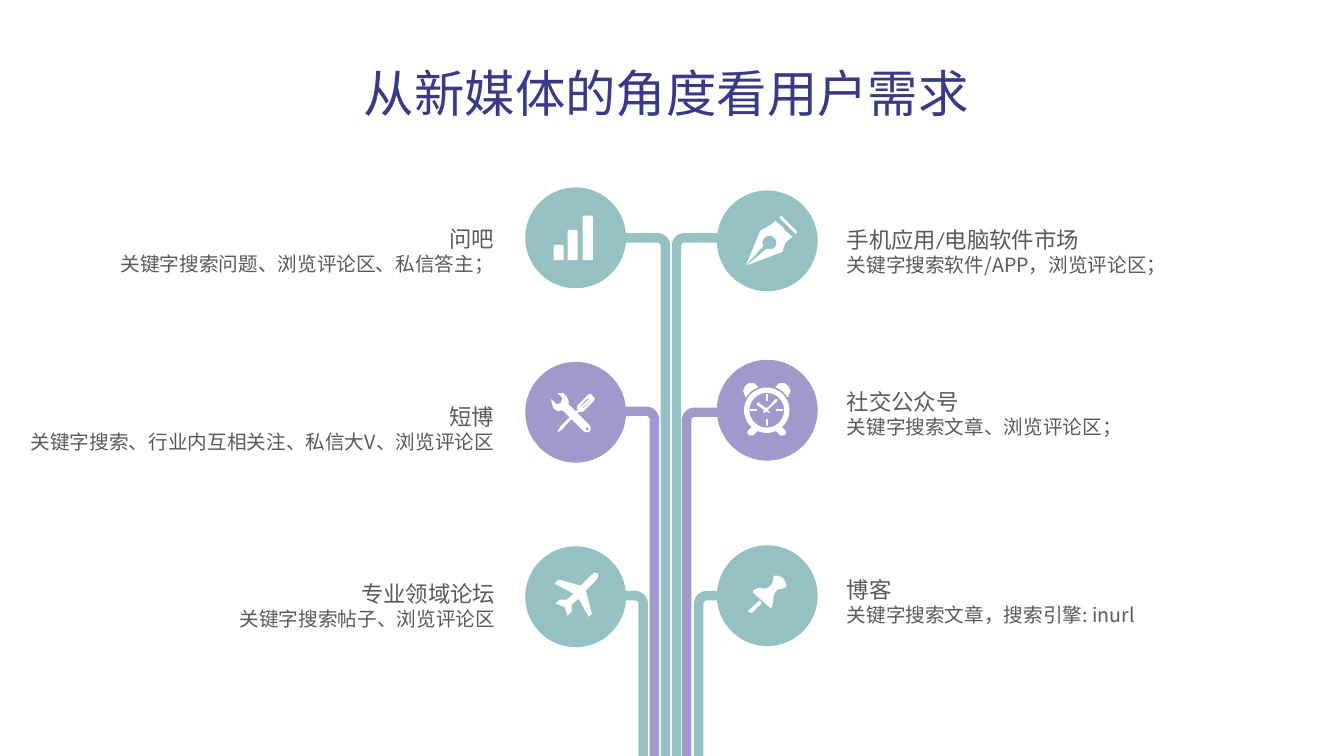
import math
from lxml import etree
from pptx import Presentation, util as u
from pptx.dml.color import RGBColor
from pptx.enum import shapes, text
from pptx.oxml.ns import qn

TEAL, PURPLE, WHITE, GREY, NAVY = "95C1C4", "A099CB", "FFFFFF", "595959", "383987"
CJK = "Noto Sans CJK SC"
CIRCLE = 1.0


def color(value):
    return RGBColor.from_string(value)


def style(sp, fill=None, line=None, width=6.75):
    sp.shadow.inherit = False
    if fill:
        sp.fill.solid()
        sp.fill.fore_color.rgb = color(fill)
    else:
        sp.fill.background()
    if line:
        sp.line.color.rgb = color(line)
        sp.line.width = u.Pt(width)
    else:
        sp.line.fill.background()


def outline(s, x, y, contours, close=True, **look):
    placed = [[(u.Inches(x + px / 100), u.Inches(y + py / 100)) for px, py in c]
              for c in contours]
    fb = s.shapes.build_freeform(*placed[0][0])
    for i, pts in enumerate(placed):
        if i:
            fb.move_to(*pts[0])
        fb.add_line_segments(pts[1:], close=close)
    style(fb.convert_to_shape(), **look)


def ring_points(cx, cy, radius, n=48):
    return [(cx + radius * math.cos(2 * math.pi * i / n),
             cy + radius * math.sin(2 * math.pi * i / n)) for i in range(n)]


def mirrored(pts, axis):
    return [(2 * axis - px, py) for px, py in pts]


def rect(x, y, w, h):
    return [(x, y), (x + w, y), (x + w, y + h), (x, y + h)]


def bars(s, x, y):
    for bx, top in ((0.28, 0.57), (0.42, 0.42), (0.57, 0.28)):
        sp = s.shapes.add_shape(shapes.MSO_SHAPE.ROUND_2_SAME_RECTANGLE, u.Inches(x + bx),
                                u.Inches(y + top), u.Inches(0.1), u.Inches(0.72 - top))
        style(sp, fill=WHITE)


def pen(s, x, y):
    nib = [(68, 40), (65, 36), (58, 30), (55, 33), (43, 40), (29, 74), (46, 55), (45, 51),
           (47, 47), (50, 45), (54, 45), (57, 47), (59, 50), (59, 54), (57, 57), (54, 58),
           (49, 58), (30, 74), (65, 61), (68, 52), (71, 49), (75, 46)]
    cap = [(64, 25), (80, 41), (78, 43), (62, 27)]
    outline(s, x, y, [nib], fill=WHITE)
    outline(s, x, y, [cap], fill=WHITE)


def tools(s, x, y):
    crossed = [(69, 36), (65, 32), (63, 32), (62, 33), (52, 43), (51, 46), (52, 47), (53, 47),
               (50, 49), (43, 42), (43, 39), (41, 34), (38, 31), (32, 31), (37, 36), (35, 41),
               (31, 42), (26, 37), (26, 40), (28, 46), (32, 49), (37, 48), (44, 55), (37, 62),
               (35, 64), (32, 69), (32, 70), (38, 66), (39, 64), (46, 57), (58, 69), (61, 70),
               (64, 69), (65, 66), (64, 63), (52, 51), (54, 49), (55, 50), (58, 49), (68, 39)]
    slots = [[(55, 44), (55, 43), (62, 36), (63, 37)], [(58, 46), (57, 46), (65, 38), (65, 39)]]
    outline(s, x, y, [crossed, *slots, ring_points(61.5, 66.5, 1.5, 12)], fill=WHITE)


def clock(s, x, y):
    cx, cy = 49.5, 50
    ear = [(70, 37), (71, 36), (73, 31), (71, 26), (67, 23), (62, 23), (58, 27), (65, 31)]
    foot = [(65, 67), (68, 70), (69, 72), (67, 75), (63, 75), (58, 70)]
    hands = [(50, 50), (60, 41), (60, 39), (58, 39), (52, 46), (49, 48), (42, 43), (41, 42),
             (39, 44), (40, 45), (47, 50), (46, 52), (47, 53), (49, 51), (50, 52), (52, 53),
             (52, 51)]
    ticks = [rect(cx - 1, 34, 2, 7), rect(cx - 1, 59, 2, 7),
             rect(33, cy - 1, 7, 2), rect(59, cy - 1, 7, 2)]
    parts = [ear, mirrored(ear, cx), foot, mirrored(foot, cx), hands, *ticks]
    outline(s, x, y, [ring_points(cx, cy, 22.5), ring_points(cx, cy, 17.2)], fill=WHITE)
    for part in parts:
        outline(s, x, y, [part], fill=WHITE)


def plane(s, x, y):
    body = [(63, 70), (66, 67), (60, 44), (69, 35), (72, 31), (72, 27), (68, 26), (64, 30),
            (55, 39), (33, 33), (29, 37), (48, 47), (41, 53), (34, 53), (30, 57), (39, 60),
            (42, 69), (46, 65), (46, 58), (53, 52)]
    outline(s, x, y, [body], fill=WHITE)


def pin(s, x, y):
    needle = [(43, 55), (42, 55), (31, 65), (31, 66), (34, 67), (35, 67), (44, 58), (44, 56)]
    head = [(60, 30), (57, 30), (56, 33), (56, 35), (55, 38), (51, 42), (47, 43), (43, 42),
            (39, 43), (36, 45), (36, 47), (53, 62), (54, 62), (56, 57), (56, 52), (57, 48),
            (60, 44), (65, 43), (68, 42), (69, 40), (68, 36), (65, 32)]
    outline(s, x, y, [needle], fill=WHITE)
    outline(s, x, y, [head], fill=WHITE)


def branch(s, x, y, stem, bend_y, hue, icon):
    left = stem > x
    edge = x + CIRCLE if left else x
    radius = 0.08 if left else -0.08
    corner = [(stem - radius + radius * math.sin(a), bend_y + 0.08 - 0.08 * math.cos(a))
              for a in (math.pi * i / 16 for i in range(9))]
    path = [(edge, bend_y), *corner, (stem, 7.56)]
    outline(s, 0, 0, [[(px * 100, py * 100) for px, py in path]], close=False, line=hue)
    sp = s.shapes.add_shape(shapes.MSO_SHAPE.OVAL, u.Inches(x), u.Inches(y),
                            u.Inches(CIRCLE), u.Inches(CIRCLE))
    style(sp, fill=hue)
    icon(s, x, y)


def text_box(s, x, y, w, h, lines, align="LEFT"):
    tf = s.shapes.add_textbox(*(u.Inches(v) for v in (x, y, w, h))).text_frame
    tf.word_wrap = True
    for i, (words, size, font, hue) in enumerate(lines):
        p = tf.add_paragraph() if i else tf.paragraphs[0]
        p.alignment = text.PP_ALIGN[align]
        r = p.add_run()
        r.text = words
        for key, value in {"size": u.Pt(size), "name": font}.items():
            setattr(r.font, key, value)
        r.font.color.rgb = color(hue)
        ea = etree.SubElement(r.font._element, qn("a:ea"))
        ea.set("typeface", CJK)


def caption(s, x, y, w, head, body, align):
    text_box(s, x, y, w, 0.61, [(head, 16, "Calibri", GREY), (body, 14, CJK, GREY)], align)


def main():
    prs = Presentation()
    prs.slide_width, prs.slide_height = u.Inches(13.33), u.Inches(7.5)
    s = prs.slides.add_slide(prs.slide_layouts[6])
    for args in (
        (5.21, 1.86, 6.6, 2.36, TEAL, bars), (7.11, 1.89, 6.71, 2.36, TEAL, pen),
        (5.21, 3.59, 6.49, 4.08, PURPLE, tools), (7.11, 3.57, 6.81, 4.09, PURPLE, clock),
        (5.21, 5.42, 6.38, 5.91, TEAL, plane), (7.11, 5.41, 6.93, 5.91, TEAL, pin),
    ):
        branch(s, *args)
    for args in (
        (8.3, 2.19, 3.42, "手机应用/电脑软件市场", "关键字搜索软件/APP，浏览评论区；", "LEFT"),
        (8.3, 3.8, 2.95, "社交公众号", "关键字搜索文章、浏览评论区；", "LEFT"),
        (8.3, 5.67, 3.09, "博客", "关键字搜索文章，搜索引擎: inurl", "LEFT"),
        (1.07, 2.18, 3.93, "问吧", "关键字搜索问题、浏览评论区、私信答主；", "RIGHT"),
        (0.15, 3.95, 4.85, "短博", "关键字搜索、行业内互相关注、私信大V、浏览评论区", "RIGHT"),
        (2.26, 5.71, 2.75, "专业领域论坛", "关键字搜索帖子、浏览评论区", "RIGHT"),
    ):
        caption(s, *args)
    text_box(s, 3.51, 0.57, 6.32, 0.71, [("从新媒体的角度看用户需求", 36, CJK, NAVY)])
    prs.save("out.pptx")


if __name__ == "__main__":
    main()
